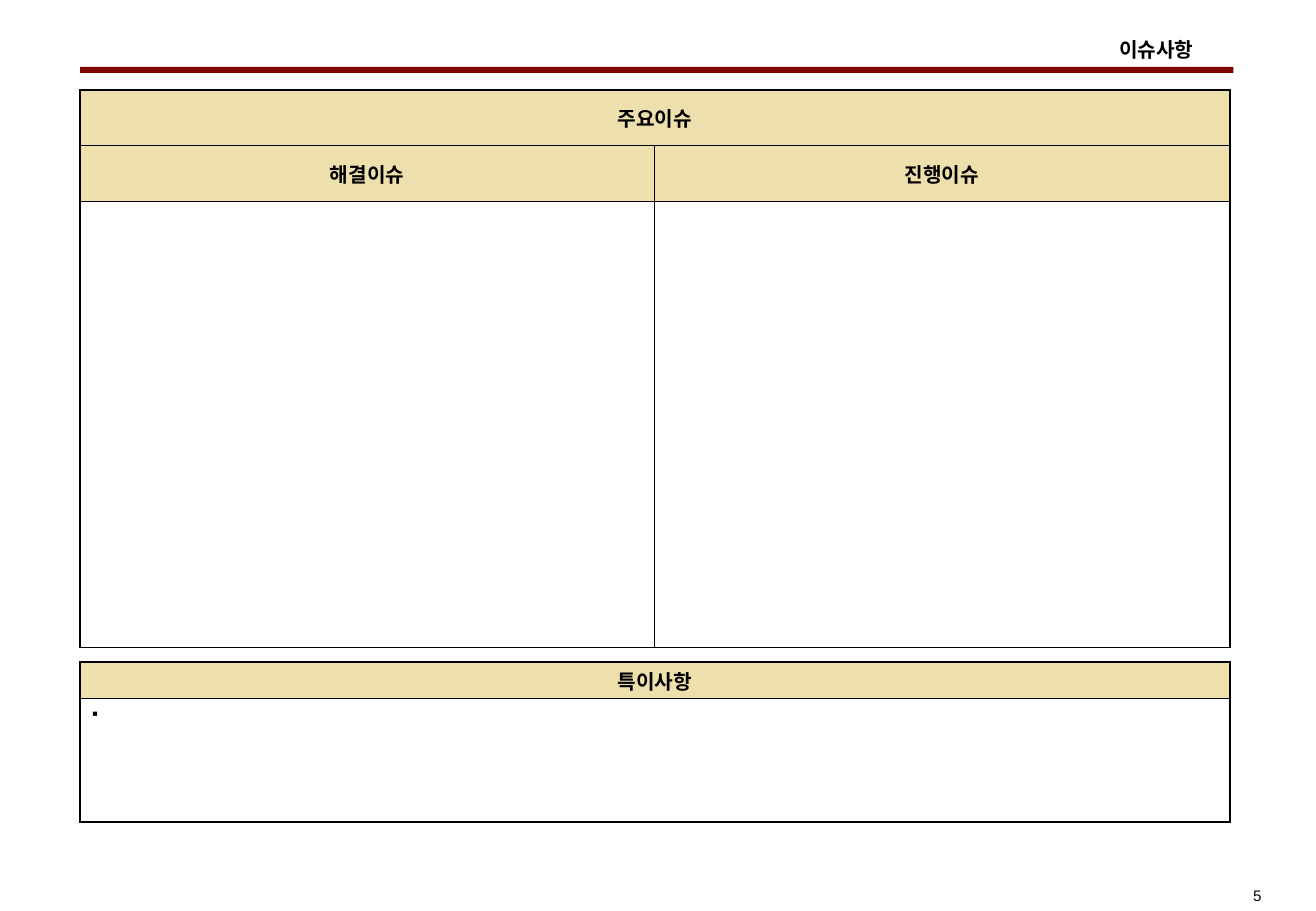
from lxml.etree import SubElement as Sub
from pptx import Presentation
from pptx.dml.color import RGBColor
from pptx.enum.shapes import MSO_SHAPE as Shape
from pptx.enum.text import MSO_ANCHOR as Anchor, PP_ALIGN as Align
from pptx.oxml.ns import qn
from pptx.util import Inches, Pt

BLACK = RGBColor(0x00, 0x00, 0x00)
MAROON = RGBColor(0x80, 0x00, 0x00)
SAND = RGBColor(0xEE, 0xE0, 0xAC)
HEAD = {"name": "Arial", "size": Pt(12), "bold": True}
LEFT, WIDTH = 0.66, 9.47


def put(frame, text, align, look):
    para = frame.paragraphs[0]
    para.alignment = align
    run = para.add_run()
    run.text = text
    run.font.color.rgb = BLACK
    for key, value in look.items():
        setattr(run.font, key, value)
    return para


def edge(cell, side, width):
    """Draw one cell border; sides go in the order L, R, T, B, before any fill."""
    props = cell._tc.get_or_add_tcPr()
    line = Sub(props, qn(f"a:ln{side}"), w=str(Pt(width)))
    fill = Sub(line, qn("a:solidFill"))
    Sub(fill, qn("a:srgbClr"), val=str(BLACK))


deck = Presentation()
deck.slide_width, deck.slide_height = Inches(10.84), Inches(7.5)
slide = deck.slides.add_slide(deck.slide_layouts[5])
shapes = slide.shapes

# Title and rule
title = shapes.title
title.left, title.top = Inches(9.12), Inches(0.26)
title.width, title.height = Inches(0.81), Inches(0.3)
frame = title.text_frame
frame.word_wrap = False
frame.margin_left = frame.margin_right = 0
frame.vertical_anchor = Anchor.TOP
para = put(frame, "이슈사항", Align.CENTER, HEAD | {"name": "Noto Sans CJK KR"})
para.space_before = Pt(7.5)

rule = shapes.add_shape(Shape.RECTANGLE, Inches(LEFT), Inches(0.55), Inches(9.5), Inches(0.05))
rule.shadow.inherit = False
rule.fill.solid()
rule.fill.fore_color.rgb = MAROON
rule.line.fill.background()

# Issue and remark tables: top, column widths, row heights, heading rows
PLANS = [
    (0.74, [4.73, 4.74], [0.46, 0.46, 3.67], [["주요이슈"], ["해결이슈", "진행이슈"]]),
    (5.45, [WIDTH], [0.3, 1.02], [["특이사항"]]),
]
for top, cols, rows, heads in PLANS:
    table = shapes.add_table(len(rows), len(cols), Inches(LEFT), Inches(top),
                             Inches(WIDTH), Inches(sum(rows))).table
    table.first_row = table.horz_banding = False
    for col, width in zip(table.columns, cols):
        col.width = Inches(width)
    for row, height in zip(table.rows, rows):
        row.height = Inches(height)
    if len(cols) > 1:
        table.cell(0, 0).merge(table.cell(0, len(cols) - 1))

    for r in range(len(rows)):
        for c in range(len(cols)):
            cell = table.cell(r, c)
            last = c == len(cols) - 1 or cell.is_merge_origin
            edge(cell, "L", 1.08 if c == 0 else 0.34)
            edge(cell, "R", 1.08 if last else 0.34)
            edge(cell, "T", {0: 1.08, 1: 0.45}.get(r, 0.34))
            edge(cell, "B", 1.08 if r == len(rows) - 1 else 0.45 if r == 0 else 0.34)
            if r < len(heads):
                cell.fill.solid()
                cell.fill.fore_color.rgb = SAND
                cell.vertical_anchor = Anchor.MIDDLE
                cell.margin_top = cell.margin_bottom = Inches(0.02)
            else:
                cell.fill.background()
    for r, texts in enumerate(heads):
        for c, text in enumerate(texts):
            put(table.cell(r, c).text_frame, text, Align.CENTER, HEAD)

# Open bullet in the remark table
para = put(table.cell(1, 0).text_frame, " ", Align.LEFT, {"name": "Arial", "size": Pt(10)})
props = para._p.get_or_add_pPr()
props.set("marL", str(Inches(0.15)))
props.set("indent", str(-Inches(0.15)))
Sub(props, qn("a:buFont"), typeface="Arial")
Sub(props, qn("a:buChar"), char="▪")

# Page number
page = shapes.add_textbox(Inches(9.69), Inches(7.25), Inches(0.8), Inches(0.25)).text_frame
page.word_wrap = True
page.vertical_anchor = Anchor.BOTTOM
put(page, "5", Align.RIGHT, {"name": "Arial", "size": Pt(9)})

deck.save("out.pptx")
